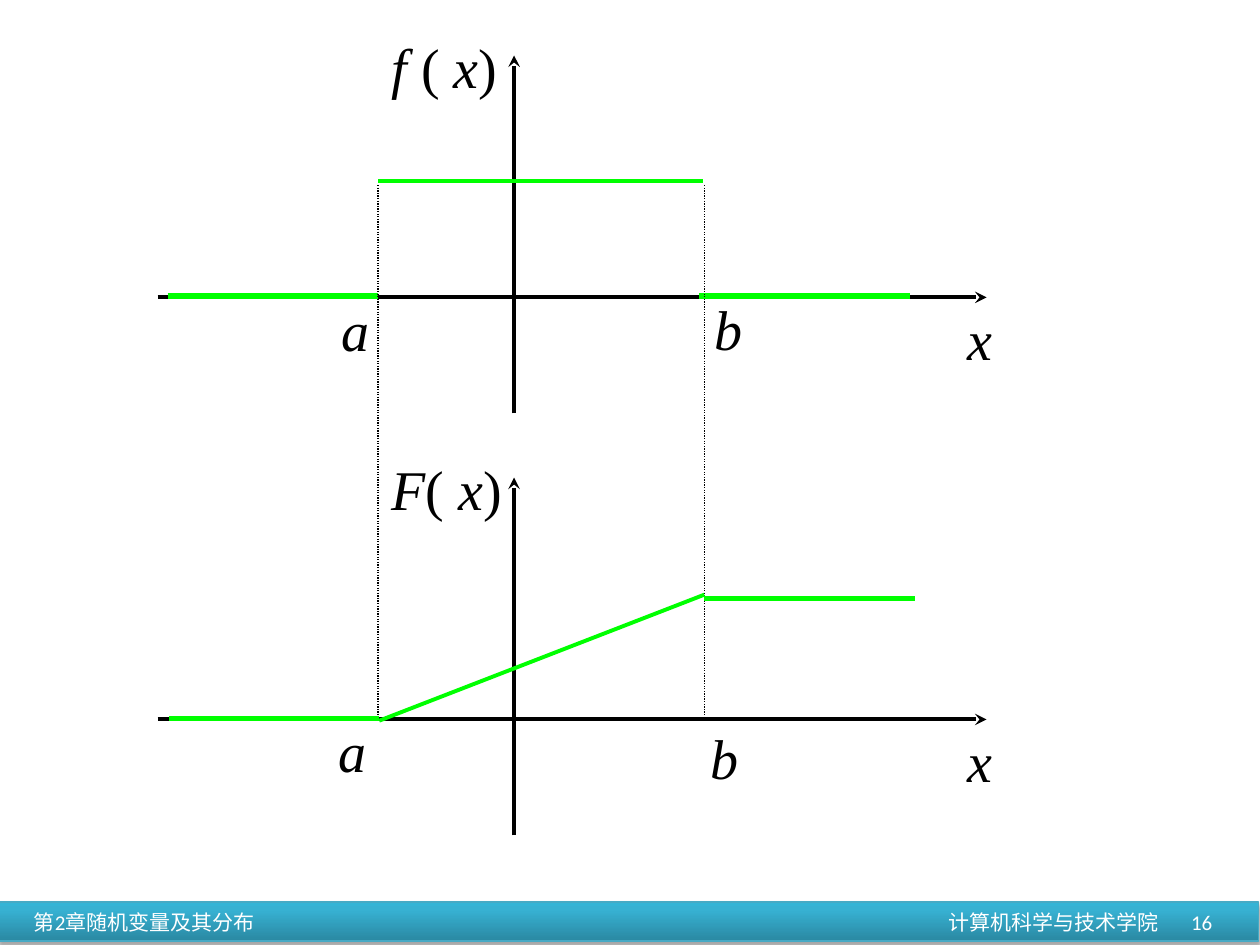
from copy import deepcopy

from pptx import Presentation
from pptx.dml.color import RGBColor
from pptx.enum.dml import MSO_LINE_DASH_STYLE as DASH
from pptx.enum.shapes import MSO_CONNECTOR, MSO_SHAPE
from pptx.enum.text import MSO_ANCHOR, MSO_AUTO_SIZE, PP_ALIGN
from pptx.oxml.ns import qn
from pptx.util import Inches, Pt
from lxml.etree import SubElement

COLORS = {
    "axis": "000000",
    "curve": "00FF00",
    "bar_dark": "2A88A2",
    "bar_mid": "37B1D2",
    "bar_light": "34B4D6",
    "bar_line": "46AAC5",
    "bar_text": "FFFFFF",
}


def rgb(name):
    return RGBColor.from_string(COLORS[name])


def add_line(s, start, end, color, width, dash=None, arrow=False):
    x1, y1, x2, y2 = (Inches(v) for v in (*start, *end))
    c = s.shapes.add_connector(MSO_CONNECTOR.STRAIGHT, x1, y1, x2, y2)
    c.line.color.rgb = rgb(color)
    c.line.width = Pt(width)
    if dash:
        c.line.dash_style = dash
    if arrow:
        SubElement(c.line._get_or_add_ln(), qn("a:tailEnd"), type="stealth")
    SubElement(c._element.spPr, qn("a:effectLst"))


def add_label(s, x, y, width, parts):
    tb = s.shapes.add_textbox(Inches(x), Inches(y), Inches(width), Inches(0.63))
    tf = tb.text_frame
    tf.word_wrap = False
    tf.auto_size = MSO_AUTO_SIZE.SHAPE_TO_FIT_TEXT
    for part in parts:
        r = tf.paragraphs[0].add_run()
        r.text = part
        r.font.name = "Times New Roman"
        r.font.size = Pt(32)
        r.font.italic = part.isalpha()
        r.font.color.rgb = rgb("axis")


def add_graph(s, left, top, title, title_width, a_pos, b_pos, curve):
    axis_y, axis_x = top + 1.92, left + 2.83
    add_line(s, (left, axis_y), (left + 6.58, axis_y), "axis", 2.25, arrow=True)
    add_line(s, (axis_x, top + 2.84), (axis_x, top), "axis", 2.25, arrow=True)
    add_label(s, left + 6.33, axis_y + 0.01, 0.4, ["x"])
    add_label(s, left + 1.76, top - 0.23, title_width, title)
    for name, (x, y) in (("a", a_pos), ("b", b_pos)):
        add_label(s, left + x, top + y, 0.42, [name])
    for x1, y1, x2, y2, width in curve:
        add_line(s, (left + x1, top + y1), (left + x2, top + y2), "curve", width)


def add_guides(s, top, height, positions):
    for x in positions:
        add_line(s, (x, top), (x, top + height), "axis", 0.75, DASH.ROUND_DOT)


def style_bar_text(p):
    p.font.name = "Calibri"
    p.font.size = Pt(12)
    p.font.color.rgb = rgb("bar_text")


def add_footer(s, left, top, width, height):
    sp = s.shapes.add_shape(MSO_SHAPE.RECTANGLE, Inches(left), Inches(top),
                            Inches(width), Inches(height))
    sp.fill.gradient()
    sp.fill.gradient_angle = 90
    stops = sp._element.spPr.find(qn("a:gradFill")).find(qn("a:gsLst"))
    stops.append(deepcopy(stops[-1]))
    shades = ((0, "bar_dark"), (0.8, "bar_mid"), (1, "bar_light"))
    for stop, (position, color) in zip(sp.fill.gradient_stops, shades):
        stop.position = position
        stop.color.rgb = rgb(color)
    sp.line.color.rgb = rgb("bar_line")
    sp.line.width = Pt(0.75)

    sp.shadow.inherit = False
    effects = sp._element.spPr.find(qn("a:effectLst"))
    shadow = SubElement(effects, qn("a:outerShdw"), blurRad=str(Pt(3.1)),
                        dist=str(Pt(1.8)), dir="5400000", rotWithShape="0")
    black = SubElement(shadow, qn("a:srgbClr"), val=COLORS["axis"])
    SubElement(black, qn("a:alpha"), val="35000")

    tf = sp.text_frame
    tf.word_wrap = True
    tf.margin_left = Inches(0.28)
    tf.margin_top = tf.margin_bottom = 0
    tf.vertical_anchor = MSO_ANCHOR.MIDDLE
    p = tf.paragraphs[0]
    p.text = "第2章随机变量及其分布\t计算机科学与技术学院"
    p.alignment = PP_ALIGN.LEFT
    tabs = SubElement(p._p.get_or_add_pPr(), qn("a:tabLst"))
    SubElement(tabs, qn("a:tab"), pos=str(Inches(7.26)), algn="l")
    style_bar_text(p)

    tb = s.shapes.add_textbox(Inches(left + 7.4), Inches(top - 0.04),
                              Inches(2.33), Inches(0.4))
    tf = tb.text_frame
    tf.word_wrap = True
    tf.vertical_anchor = MSO_ANCHOR.MIDDLE
    p = tf.paragraphs[0]
    p.text = "16"
    p.alignment = PP_ALIGN.RIGHT
    style_bar_text(p)


def main():
    prs = Presentation()
    prs.slide_width, prs.slide_height = Inches(10), Inches(7.5)
    s = prs.slides.add_slide(prs.slide_layouts[6])
    add_footer(s, -0.01, 7.16, 10, 0.31)
    density = [(1.75, 1, 4.33, 1, 2.25),
               (0.08, 1.91, 1.75, 1.91, 3),
               (4.3, 1.91, 5.97, 1.91, 3)]
    distribution = [(0.09, 1.91, 1.76, 1.91, 3),
                    (4.34, 0.96, 6.01, 0.96, 3),
                    (4.34, 0.93, 1.76, 1.93, 2.25)]
    add_graph(s, 1.25, 0.44, ["f", " ( ", "x", ")"], 1.04,
              (1.36, 1.86), (4.32, 1.85), density)
    add_guides(s, 1.47, 4.25, (3, 5.59))
    add_graph(s, 1.25, 3.79, ["F", "( ", "x", ")"], 1.08,
              (1.34, 1.85), (4.29, 1.9), distribution)
    prs.save("out.pptx")


if __name__ == "__main__":
    main()
